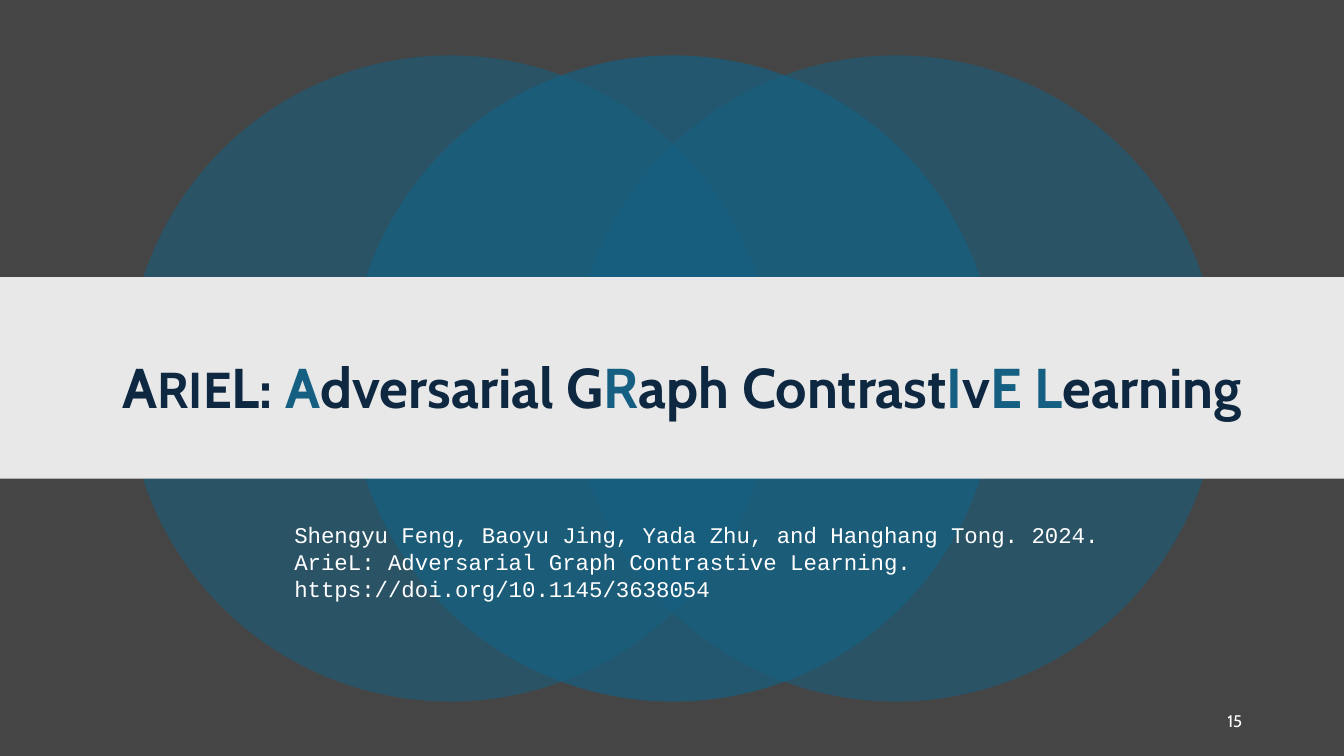
from lxml import etree
from pptx import Presentation
from pptx.dml.color import RGBColor
from pptx.enum import shapes, text
from pptx.oxml.ns import qn
from pptx.util import Inches, Pt

GREY = RGBColor(0x45, 0x45, 0x45)
PALE = RGBColor(0xE8, 0xE8, 0xE8)
TEAL = RGBColor(0x15, 0x60, 0x82)
NAVY = RGBColor(0x0E, 0x28, 0x41)
WHITE = RGBColor(0xFF, 0xFF, 0xFF)

TITLE = [
    ("A", 40, NAVY), ("RIE", 36, NAVY), ("L: ", 40, NAVY),
    ("A", 40, TEAL), ("dversarial G", 40, NAVY), ("R", 40, TEAL),
    ("aph Contrast", 40, NAVY), ("I", 40, TEAL), ("v", 40, NAVY),
    ("E L", 40, TEAL), ("earning", 40, NAVY),
]
CITE = [
    "Shengyu Feng, Baoyu Jing, Yada Zhu, and Hanghang Tong. 2024.",
    "ArieL: Adversarial Graph Contrastive Learning. "
    "https://doi.org/10.1145/3638054",
]


def add_solid(parent, kind, box, color, alpha=100):
    """Add a borderless shape, opaque to the given percentage."""
    shape = parent.shapes.add_shape(kind, *map(Inches, box))
    shape.shadow.inherit = False
    shape.line.fill.background()
    shape.fill.solid()
    shape.fill.fore_color.rgb = color
    if alpha < 100:
        tint = shape._element.spPr.find(".//" + qn("a:srgbClr"))
        etree.SubElement(tint, qn("a:alpha")).set("val", str(alpha * 1000))


def add_rings(slide, box):
    """Three overlapping circles, the middle one in front."""
    left, top, width, size = box
    step = (width - size) / 2
    group = slide.shapes.add_group_shape()
    for place, alpha in ((0, 55), (2, 55), (1, 70)):
        add_solid(group, shapes.MSO_SHAPE.OVAL,
                  (left + place * step, top, size, size), TEAL, alpha)


def add_title(slide, box):
    """Title with the acronym's letters picked out."""
    title = slide.shapes.title
    title.left, title.top, title.width, title.height = map(Inches, box)
    frame = title.text_frame
    frame.word_wrap = True
    frame.auto_size = text.MSO_AUTO_SIZE.NONE
    frame.vertical_anchor = text.MSO_ANCHOR.MIDDLE
    line = frame.paragraphs[0]
    line.alignment = text.PP_ALIGN.CENTER
    line.line_spacing = 0.9
    for words, size, color in TITLE:
        run = line.add_run()
        run.text = words
        font = run.font
        font.name, font.size, font.bold = "Cabin", Pt(size), True
        font.color.rgb = color
    # Bring the title in front of the band
    slide.shapes._spTree.append(title._element)


def add_text(slide, box, lines, face, size, align, anchor):
    """White text, one paragraph per line."""
    frame = slide.shapes.add_textbox(*map(Inches, box)).text_frame
    frame.word_wrap = True
    frame.vertical_anchor = anchor
    frame.text = "\n".join(lines)
    for line in frame.paragraphs:
        line.alignment = align
        line.font.name, line.font.size = face, Pt(size)
        line.font.color.rgb = WHITE


def add_section(deck):
    """Section slide: circles, title band, citation and page number."""
    slide = deck.slides.add_slide(deck.slide_layouts[5])
    slide.background.fill.solid()
    slide.background.fill.fore_color.rgb = GREY
    add_rings(slide, (1.26, 0.55, 10.83, 6.41))
    add_solid(slide, shapes.MSO_SHAPE.RECTANGLE, (0, 2.75, 13.33, 2), PALE)
    add_title(slide, (1.11, 3.12, 11.31, 1.51))
    add_text(slide, (2.82, 5.12, 8.35, 0.91), CITE, "Courier New", 16,
             text.PP_ALIGN.LEFT, text.MSO_ANCHOR.TOP)
    add_text(slide, (9.42, 6.95, 3, 0.4), ["15"], "Cabin", 12,
             text.PP_ALIGN.RIGHT, text.MSO_ANCHOR.MIDDLE)


def main():
    deck = Presentation()
    deck.slide_width, deck.slide_height = Inches(13.33), Inches(7.5)
    add_section(deck)
    deck.save("out.pptx")


if __name__ == "__main__":
    main()
